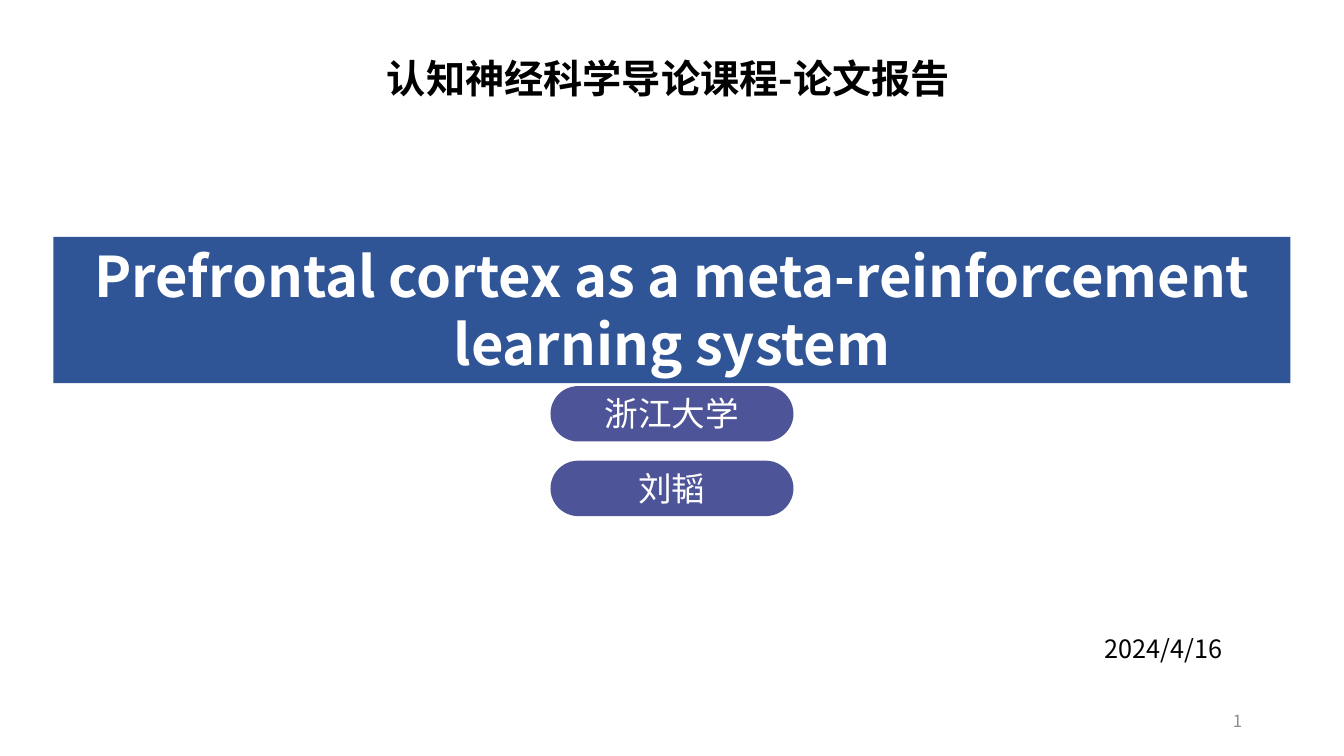
from lxml.etree import SubElement
from pptx import Presentation
from pptx.dml.color import RGBColor
from pptx.enum.shapes import MSO_SHAPE as Shape
from pptx.enum.text import MSO_ANCHOR as Anchor, MSO_AUTO_SIZE as AutoSize, PP_ALIGN as Align
from pptx.oxml.ns import qn
from pptx.util import Inches, Pt

COLORS = {
    "banner": "2F5597",
    "pill": "141B76",
    "light": "FFFFFF",
    "dark": "000000",
    "muted": "8C8C8C",
}


class SlideBuilder:
    font = "Noto Sans CJK SC"

    def __init__(self, slide):
        self.slide = slide

    def color(self, name):
        return RGBColor.from_string(COLORS[name])

    def fill_text(self, sp, text, size, color, bold=False, align=Align.CENTER, anchor=Anchor.TOP):
        """Put one styled run into a shape."""
        tf = sp.text_frame
        tf.word_wrap = True
        tf.auto_size = AutoSize.NONE
        tf.vertical_anchor = anchor
        p = tf.paragraphs[0]
        p.alignment = align
        r = p.add_run()
        r.text = text
        r.font.size = Pt(size)
        r.font.bold = bold
        r.font.color.rgb = self.color(color)
        r.font.name = self.font
        SubElement(r.font._element, qn("a:ea"), typeface=self.font)

    def text(self, box, text, size, color, parent=None, **style):
        shapes = (parent or self.slide).shapes
        sp = shapes.add_textbox(*map(Inches, box))
        self.fill_text(sp, text, size, color, **style)

    def block(self, kind, box, fill, parent=None):
        shapes = (parent or self.slide).shapes
        sp = shapes.add_shape(kind, *map(Inches, box))
        sp.shadow.inherit = False
        sp.fill.solid()
        sp.fill.fore_color.rgb = self.color(fill)
        sp.line.fill.background()
        return sp

    def banner(self, box, text):
        sp = self.block(Shape.RECTANGLE, box, "banner")
        self.fill_text(sp, text, 40, "light", bold=True)

    def pill(self, top, text):
        """Translucent rounded label grouped with its text."""
        group = self.slide.shapes.add_group_shape()
        sp = self.block(Shape.ROUNDED_RECTANGLE, (5.46, top, 2.41, 0.55), "pill", group)
        sp.adjustments[0] = 0.5
        rgb = sp._element.spPr.find(qn("a:solidFill")).find(qn("a:srgbClr"))
        SubElement(rgb, qn("a:alpha"), val="75000")
        self.text((5.55, top + 0.02, 2.23, 0.5), text, 24, "light", parent=group)


def main():
    prs = Presentation()
    prs.slide_width, prs.slide_height = Inches(13.33), Inches(7.5)
    s = SlideBuilder(prs.slides.add_slide(prs.slide_layouts[6]))

    s.text((3.74, 0.49, 5.87, 0.57), "认知神经科学导论课程-论文报告", 28, "dark",
           bold=True, align=Align.LEFT)
    s.banner((0.53, 2.35, 12.27, 1.45),
             "Prefrontal cortex as a meta-reinforcement learning system")
    for top, label in ((3.83, "浙江大学"), (4.57, "刘韬")):
        s.pill(top, label)
    s.text((10.49, 6.23, 2.1, 0.4), "2024/4/16", 18, "dark")
    s.text((9.42, 6.95, 3, 0.4), "1", 12, "muted", align=Align.RIGHT, anchor=Anchor.MIDDLE)

    prs.save("out.pptx")


if __name__ == "__main__":
    main()
